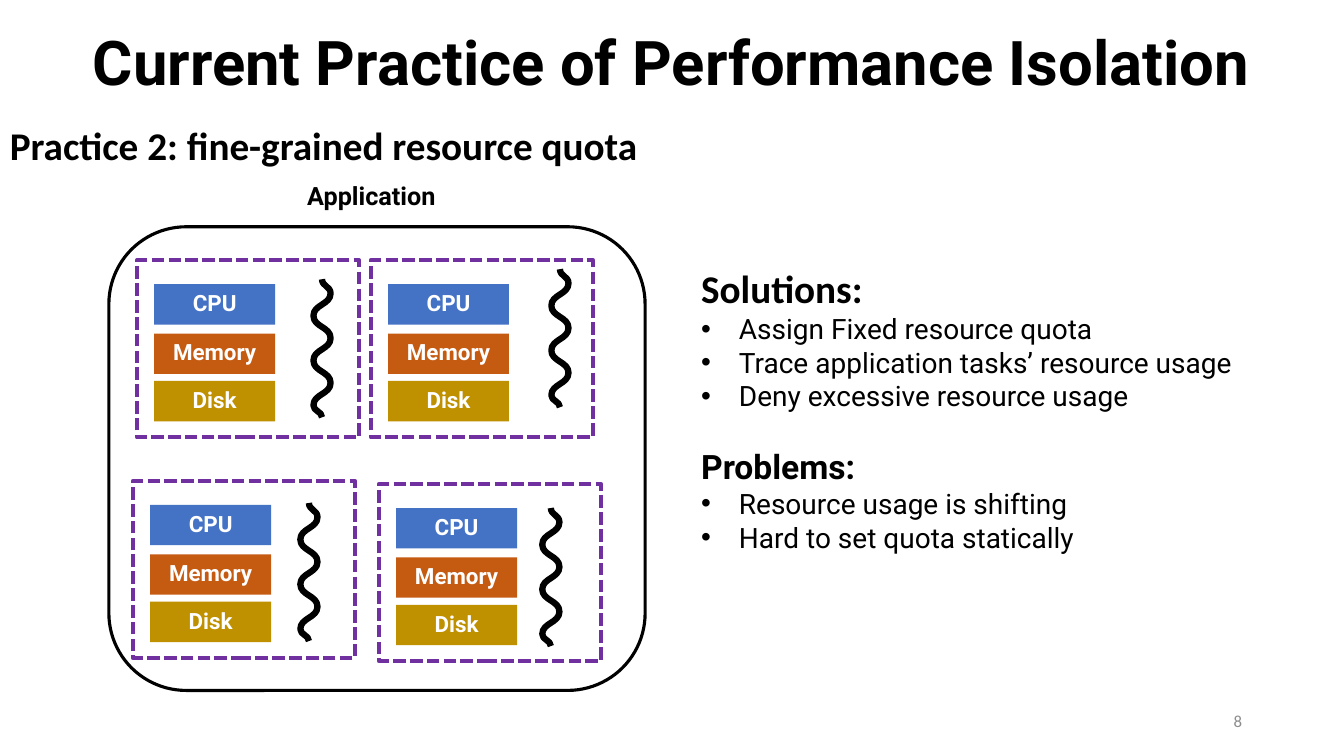
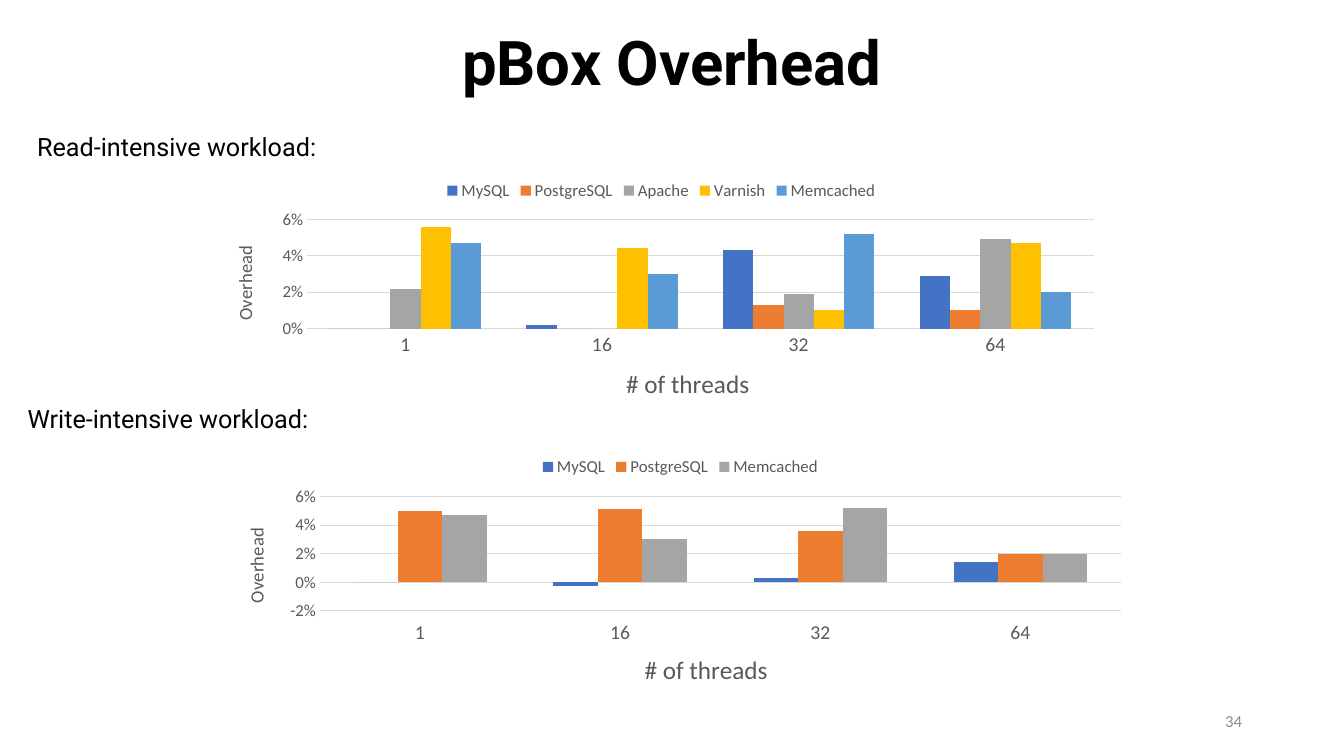
from dataclasses import dataclass

from pptx import Presentation
from pptx.chart.data import CategoryChartData
from pptx.dml.color import RGBColor
from pptx.enum.chart import XL_CHART_TYPE as ChartType
from pptx.enum.chart import XL_LEGEND_POSITION as LegendPosition
from pptx.enum.chart import XL_TICK_LABEL_POSITION as LabelPosition
from pptx.enum.chart import XL_TICK_MARK as TickMark
from pptx.enum.dml import MSO_LINE
from pptx.enum.shapes import MSO_SHAPE
from pptx.enum.text import MSO_ANCHOR, MSO_AUTO_SIZE, PP_ALIGN
from pptx.oxml import parse_xml
from pptx.oxml.ns import nsdecls, qn
from pptx.util import Emu, Inches, Pt

BLACK = RGBColor(0x00, 0x00, 0x00)
WHITE = RGBColor(0xFF, 0xFF, 0xFF)
BLUE = RGBColor(0x44, 0x72, 0xC4)
RUST = RGBColor(0xC5, 0x5A, 0x11)
OCHRE = RGBColor(0xBF, 0x90, 0x00)
PURPLE = RGBColor(0x70, 0x30, 0xA0)
ORANGE = RGBColor(0xED, 0x7D, 0x31)
GRAY = RGBColor(0xA5, 0xA5, 0xA5)
YELLOW = RGBColor(0xFF, 0xC0, 0x00)
SKY = RGBColor(0x5B, 0x9B, 0xD5)
GRID_LINE = RGBColor(0xD9, 0xD9, 0xD9)
AXIS_TEXT = RGBColor(0x59, 0x59, 0x59)
PAGE_TEXT = RGBColor(0x8C, 0x8C, 0x8C)

ROBOTO, CALIBRI = "Roboto", "Calibri"
CELL = Inches(0.1)
COLUMNS, ROWS = 133.33, 75
THREADS = ("1", "16", "32", "64")


@dataclass(frozen=True)
class Area:
    column: float
    row: float
    columns: float
    rows: float

    def emu(self) -> tuple:
        return tuple(cells(n) for n in (self.column, self.row, self.columns, self.rows))


@dataclass(frozen=True)
class Resource:
    label: str
    color: RGBColor
    row: float


@dataclass(frozen=True)
class Task:
    column: float
    row: float
    thread_column: float
    thread_row: float


@dataclass(frozen=True)
class Section:
    heading: str
    font: str
    size: int
    space_before: int
    points: tuple


@dataclass(frozen=True)
class Series:
    name: str
    color: RGBColor
    values: tuple


@dataclass(frozen=True)
class Workload:
    label: str
    label_area: Area
    chart_area: Area
    minimum: float
    plot_height: float
    threads_top: float
    overhead_top: float
    series: tuple


RESOURCES = (
    Resource("CPU", BLUE, 2.4),
    Resource("Memory", RUST, 7.3),
    Resource("Disk", OCHRE, 12),
)
TASKS = (
    Task(13.6, 25.8, 25.1, 33.7),
    Task(36.8, 25.8, 48.7, 32.7),
    Task(13.2, 47.7, 23.8, 55.9),
    Task(37.6, 48, 47.8, 56.4),
)
SECTIONS = (
    Section("Solutions:", CALIBRI, 28, 0, (
        "Assign Fixed resource quota",
        "Trace application tasks’ resource usage",
        "Deny excessive resource usage",
    )),
    Section("Problems:", ROBOTO, 24, 24, (
        "Resource usage is shifting",
        "Hard to set quota statically",
    )),
)
MEMCACHED = (0.047, 0.03, 0.052, 0.02)
WORKLOADS = (
    Workload("Read-intensive workload:", Area(2.7, 12.55, 30.3, 4),
             Area(20.9, 16.8, 89.4, 25.3), 0, 42.9, 75.3, 28.5, (
        Series("MySQL", BLUE, (0, 0.002, 0.043, 0.029)),
        Series("PostgreSQL", ORANGE, (0, 0, 0.013, 0.01)),
        Series("Apache", GRAY, (0.022, 0, 0.019, 0.049)),
        Series("Varnish", YELLOW, (0.056, 0.044, 0.01, 0.047)),
        Series("Memcached", SKY, MEMCACHED),
    )),
    Workload("Write-intensive workload:", Area(1.75, 39.55, 30.2, 4),
             Area(22, 44.2, 91, 25.9), -0.02, 43.7, 77.4, 30.2, (
        Series("MySQL", BLUE, (0, -0.003, 0.003, 0.014)),
        Series("PostgreSQL", ORANGE, (0.05, 0.051, 0.036, 0.02)),
        Series("Memcached", GRAY, MEMCACHED),
    )),
)


def cells(count: float) -> Emu:
    return Emu(round(CELL * count))


def set_font(font, face: str, size: float, color: RGBColor, bold: bool = False) -> None:
    font.name, font.size, font.bold = face, Pt(size), bold
    font.color.rgb = color


def place(shape, area: Area) -> None:
    shape.left, shape.top, shape.width, shape.height = area.emu()


def add_label(slide, area: Area, text: str, face: str, size: float,
              color: RGBColor = BLACK, bold: bool = False, wrap: bool = True):
    frame = slide.shapes.add_textbox(*area.emu()).text_frame
    frame.word_wrap = wrap
    paragraph = frame.paragraphs[0]
    paragraph.text = text
    set_font(paragraph.font, face, size, color, bold)
    return frame


def start_slide(deck, layout: int, title: str, page: str):
    slide = deck.slides.add_slide(deck.slide_layouts[layout])
    heading = slide.shapes.title
    place(heading, Area(0, 0, COLUMNS, 13))
    heading.text_frame.auto_size = MSO_AUTO_SIZE.NONE
    heading.text_frame.vertical_anchor = MSO_ANCHOR.MIDDLE
    paragraph = heading.text_frame.paragraphs[0]
    paragraph.text = title
    paragraph.alignment, paragraph.line_spacing = PP_ALIGN.CENTER, 0.9
    set_font(paragraph.font, ROBOTO, 44, BLACK, True)
    number = add_label(slide, Area(94.2, 69.5, 30, 4), page, CALIBRI, 12, PAGE_TEXT)
    number.vertical_anchor = MSO_ANCHOR.MIDDLE
    number.paragraphs[0].alignment = PP_ALIGN.RIGHT
    return slide


def style_outline(outline, color: RGBColor, width: float) -> None:
    outline.shadow.inherit = False
    outline.fill.background()
    outline.line.color.rgb, outline.line.width = color, Pt(width)


def add_resource(shapes, task: Task, resource: Resource) -> None:
    area = Area(task.column + 1.7, task.row + resource.row, 12, 4)
    bar = shapes.add_shape(MSO_SHAPE.RECTANGLE, *area.emu())
    bar.shadow.inherit = False
    bar.fill.solid()
    bar.fill.fore_color.rgb = resource.color
    bar.line.fill.background()
    bar.text_frame.vertical_anchor = MSO_ANCHOR.TOP
    paragraph = bar.text_frame.paragraphs[0]
    paragraph.text, paragraph.alignment = resource.label, PP_ALIGN.CENTER
    set_font(paragraph.font, ROBOTO, 16, WHITE, True)


def curve_segments(freeform) -> None:
    start, *segments = [pt.getparent() for pt in freeform._element.iter(qn("a:pt"))]
    x0, y0 = start[0].get("x"), start[0].get("y")
    for segment in segments:
        x1, y1 = segment[0].get("x"), segment[0].get("y")
        middle = (int(x0) + int(x1)) // 2
        segment.getparent().replace(segment, parse_xml(
            f'<a:cubicBezTo {nsdecls("a")}><a:pt x="{middle}" y="{y0}"/>'
            f'<a:pt x="{middle}" y="{y1}"/><a:pt x="{x1}" y="{y1}"/></a:cubicBezTo>'))
        x0, y0 = x1, y1


def add_thread(slide, task: Task) -> None:
    length, swing, turns = 13.7, 1.7, 6
    bends = [(1.2 + 2.22 * turn, swing * (turn % 2)) for turn in range(turns)]
    points = [(cells(task.thread_column + x), cells(task.thread_row + y))
              for x, y in [(0, swing / 2), *bends, (length, swing / 2)]]
    builder = slide.shapes.build_freeform(*points[0])
    builder.add_line_segments(points[1:], close=False)
    thread = builder.convert_to_shape()
    curve_segments(thread)
    thread.rotation = 270
    style_outline(thread, BLACK, 4.5)


def add_task(slide, task: Task) -> None:
    group = slide.shapes.add_group_shape()
    for resource in RESOURCES:
        add_resource(group.shapes, task, resource)
    area = Area(task.column, task.row, 22, 17.6)
    quota = group.shapes.add_shape(MSO_SHAPE.RECTANGLE, *area.emu())
    style_outline(quota, PURPLE, 3)
    quota.line.dash_style = MSO_LINE.SQUARE_DOT
    add_thread(slide, task)


def fill_sections(body) -> None:
    place(body, Area(68.55, 25.75, 57.3, 36.7))
    frame = body.text_frame
    frame.auto_size, frame.vertical_anchor = MSO_AUTO_SIZE.NONE, MSO_ANCHOR.TOP
    for index, section in enumerate(SECTIONS):
        heading = frame.add_paragraph() if index else frame.paragraphs[0]
        heading.text = section.heading
        properties = heading._p.get_or_add_pPr()
        properties.set("marL", "0")
        properties.set("indent", "0")
        properties.append(parse_xml(f"<a:buNone {nsdecls('a')}/>"))
        heading.space_before = Pt(section.space_before)
        set_font(heading.font, section.font, section.size, BLACK, True)
        for text in section.points:
            point = frame.add_paragraph()
            point.text, point.space_before = text, Pt(0)
            set_font(point.font, ROBOTO, 20, BLACK)


def manual_layout(target: str = "", **percents: float):
    inner = f'<c:layoutTarget val="{target}"/>' if target else ""
    modes = '<c:xMode val="edge"/><c:yMode val="edge"/>'
    sizes = "".join(f'<c:{key} val="{value / 100:.3f}"/>' for key, value in percents.items())
    return parse_xml(f"<c:layout {nsdecls('c')}><c:manualLayout>"
                     f"{inner}{modes}{sizes}</c:manualLayout></c:layout>")


def drop_layout(element) -> None:
    for layout in element.findall(qn("c:layout")):
        element.remove(layout)


def title_axis(axis, text: str, size: float, x: float, y: float, turn: int = 0) -> None:
    title = axis.axis_title
    paragraph = title.text_frame.paragraphs[0]
    paragraph.text = text
    set_font(paragraph.font, CALIBRI, size, AXIS_TEXT)
    title.text_frame._txBody.bodyPr.set("rot", str(turn * 60000))
    drop_layout(title._element)
    title._element.find(qn("c:tx")).addnext(manual_layout(x=x, y=y))


def add_workload(slide, workload: Workload) -> None:
    add_label(slide, workload.label_area, workload.label, ROBOTO, 18, wrap=False)
    data = CategoryChartData(number_format="0%")
    data.categories = THREADS
    for series in workload.series:
        data.add_series(series.name, series.values)
    chart = slide.shapes.add_chart(
        ChartType.COLUMN_CLUSTERED, *workload.chart_area.emu(), data).chart
    set_font(chart.font, CALIBRI, 10, BLACK)
    chart.has_title, chart.has_legend = False, True
    chart.legend.position, chart.legend.include_in_layout = LegendPosition.TOP, False
    set_font(chart.legend.font, CALIBRI, 12, AXIS_TEXT)

    plot = chart.plots[0]
    plot.gap_width, plot.overlap, plot.vary_by_categories = 150, 0, False
    for bars, series in zip(plot.series, workload.series):
        bars.invert_if_negative = False
        bars.format.fill.solid()
        bars.format.fill.fore_color.rgb = series.color
    plot_area = chart._chartSpace.chart.plotArea
    drop_layout(plot_area)
    plot_area.insert(0, manual_layout("inner", x=10.7, y=19.6, w=87.3, h=workload.plot_height))

    threads, overhead = chart.category_axis, chart.value_axis
    for axis, size in ((threads, 14), (overhead, 12)):
        axis.major_tick_mark = axis.minor_tick_mark = TickMark.NONE
        set_font(axis.tick_labels.font, CALIBRI, size, AXIS_TEXT)
    if workload.minimum < 0:
        threads.tick_label_position = LabelPosition.LOW
    overhead.minimum_scale, overhead.maximum_scale = workload.minimum, 0.06
    overhead.major_unit = 0.02
    overhead.tick_labels.number_format = "0%"
    overhead.tick_labels.number_format_is_linked = False
    overhead.format.line.fill.background()
    for line in (threads.format.line, overhead.major_gridlines.format.line):
        line.color.rgb, line.width = GRID_LINE, Pt(0.75)
    title_axis(threads, "# of threads", 18, 45.6, workload.threads_top)
    title_axis(overhead, "Overhead", 13.3, 2, workload.overhead_top, -90)


def build_practice(deck) -> None:
    slide = start_slide(deck, 1, "Current Practice of Performance Isolation", "8")
    add_label(slide, Area(0, 11.5, 114.3, 5.7),
              "Practice 2: fine-grained resource quota", CALIBRI, 28, bold=True)
    add_label(slide, Area(29.5, 17.4, 17.4, 4), "Application", ROBOTO, 18, bold=True)
    application = slide.shapes.add_shape(
        MSO_SHAPE.ROUNDED_RECTANGLE, *Area(10.8, 22.5, 53.2, 46).emu())
    style_outline(application, BLACK, 2.25)
    for task in TASKS:
        add_task(slide, task)
    fill_sections(slide.placeholders[1])


def build_overhead(deck) -> None:
    slide = start_slide(deck, 5, "pBox Overhead", "34")
    for workload in WORKLOADS:
        add_workload(slide, workload)


def main() -> None:
    deck = Presentation()
    deck.slide_width, deck.slide_height = cells(COLUMNS), cells(ROWS)
    build_practice(deck)
    build_overhead(deck)
    deck.save("out.pptx")


if __name__ == "__main__":
    main()
